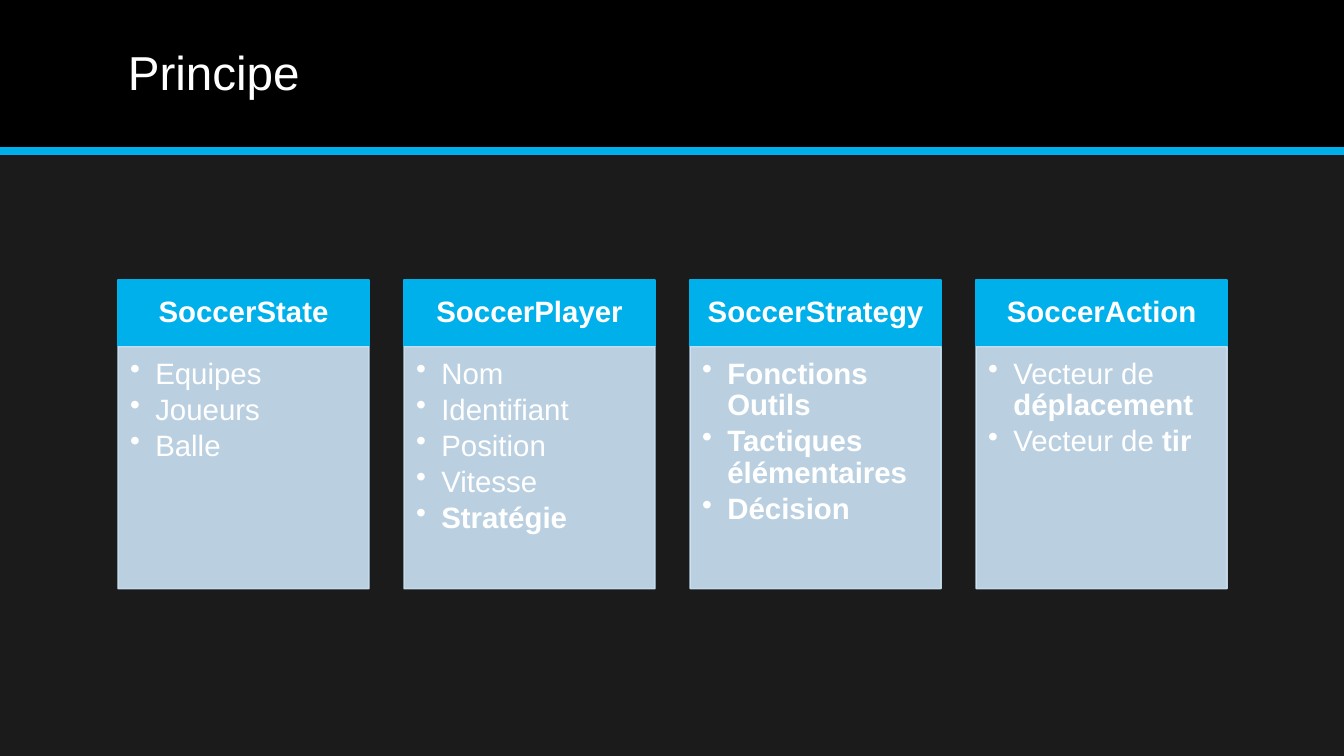
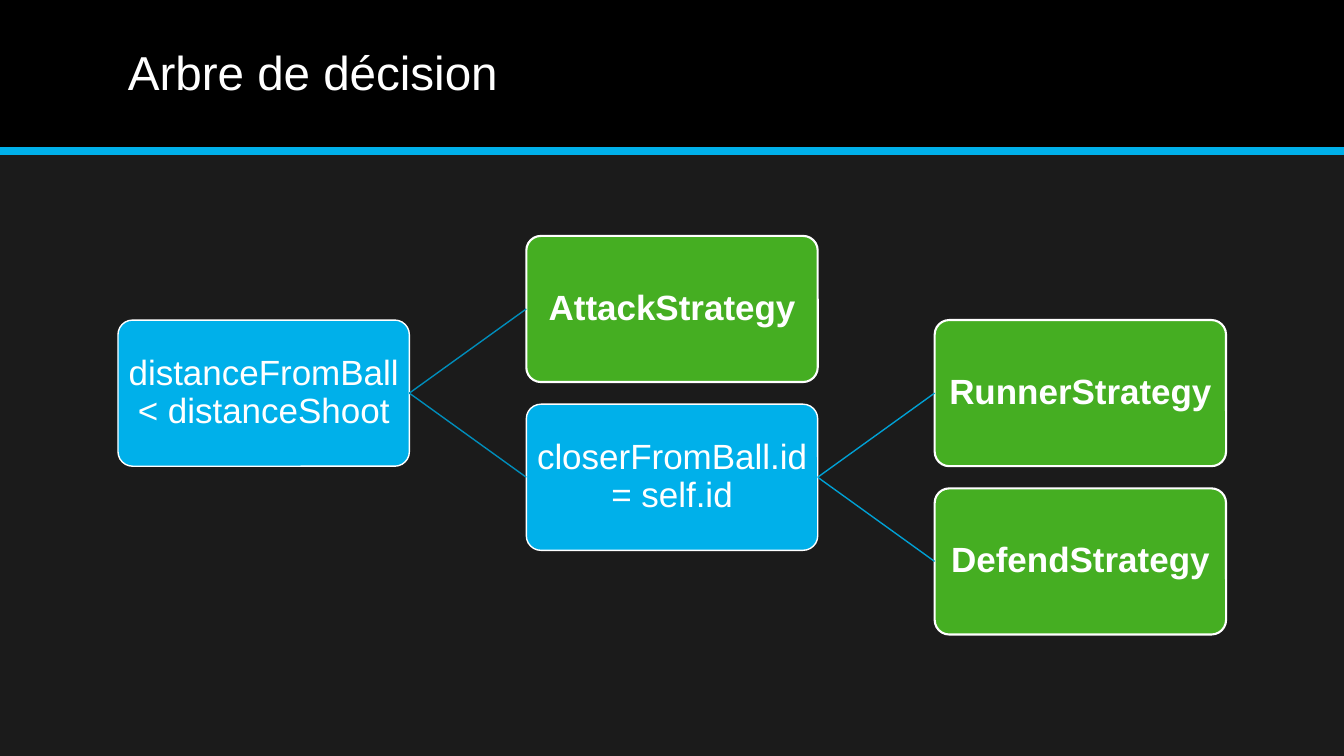
from lxml import etree
from pptx import Presentation
from pptx.dml.color import RGBColor
from pptx.enum.shapes import MSO_CONNECTOR, MSO_SHAPE
from pptx.enum.text import MSO_ANCHOR, PP_ALIGN
from pptx.oxml.ns import qn
from pptx.util import Inches, Pt

# Content: a text is a list of paragraphs, a paragraph a list of (text, bold) runs
CARDS = [
    ("SoccerState", [[("Equipes", False)], [("Joueurs", False)], [("Balle", False)]]),
    ("SoccerPlayer", [[("Nom", False)], [("Identifiant", False)], [("Position", False)],
                      [("Vitesse", False)], [("Stratégie", True)]]),
    ("SoccerStrategy", [[("Fonctions Outils", True)], [("Tactiques élémentaires", True)],
                        [("Décision", True)]]),
    ("SoccerAction", [[("Vecteur de ", False), ("déplacement", True)],
                      [("Vecteur de ", False), ("tir", True)]]),
]
# Decision tree: (label, children); a node without children is a strategy
TREE = ("distanceFromBall < distanceShoot", [
    ("AttackStrategy", []),
    ("closerFromBall.id = self.id", [("RunnerStrategy", []), ("DefendStrategy", [])]),
])

# Shared style
FONT = "Arial"
BACKGROUND, BAND, ACCENT, WHITE = "1B1B1B", "000000", "00B0EA", "FFFFFF"
CARD_BODY, STRATEGY = "CCE4F7", "45AE22"
BRANCH_COLORS = ["008DBB", "00A0D4"]
SLIDE_WIDTH, SLIDE_HEIGHT, BAND_HEIGHT, LEFT = 13.33, 7.5, 1.5, 1.17


def rgb(color):
    return RGBColor.from_string(color)


def write(shape, paragraphs, size, margins, align=PP_ALIGN.LEFT,
          anchor=MSO_ANCHOR.MIDDLE, space_after=0, bullets=False):
    frame = shape.text_frame
    sides = ("margin_left", "margin_top", "margin_right", "margin_bottom")
    settings = {"word_wrap": True, "vertical_anchor": anchor}
    settings.update(zip(sides, map(Inches, margins)))
    for name, value in settings.items():
        setattr(frame, name, value)
    for index, runs in enumerate(paragraphs):
        paragraph = frame.add_paragraph() if index else frame.paragraphs[0]
        layout = {"alignment": align, "line_spacing": 0.9, "space_after": Pt(space_after)}
        for name, value in layout.items():
            setattr(paragraph, name, value)
        if bullets:
            properties = paragraph._p.get_or_add_pPr()
            properties.set("marL", str(Inches(0.25)))
            properties.set("indent", str(-Inches(0.25)))
            etree.SubElement(properties, qn("a:buChar")).set("char", "•")
        for text, bold in runs:
            run = paragraph.add_run()
            run.text = text
            for name, value in {"name": FONT, "size": Pt(size), "bold": bold}.items():
                setattr(run.font, name, value)
            run.font.color.rgb = rgb(WHITE)


def add_box(slide, kind, position, fill, line=None, line_width=1, opacity=100):
    shape = slide.shapes.add_shape(kind, *map(Inches, position))
    shape.shadow.inherit = False
    shape.fill.solid()
    shape.fill.fore_color.rgb = rgb(fill)
    if line:
        shape.line.color.rgb = rgb(line)
        shape.line.width = Pt(line_width)
    else:
        shape.line.fill.background()
    if opacity < 100:
        for color in shape._element.spPr.iter(qn("a:srgbClr")):
            etree.SubElement(color, qn("a:alpha")).set("val", str(opacity * 1000))
    return shape


def add_line(slide, start, end, color, width):
    line = slide.shapes.add_connector(MSO_CONNECTOR.STRAIGHT, *map(Inches, start + end))
    line.line.color.rgb = rgb(color)
    line.line.width = Pt(width)
    etree.SubElement(line._element.spPr, qn("a:effectLst"))
    return line


def add_titled_slide(presentation, title):
    slide = presentation.slides.add_slide(presentation.slide_layouts[6])
    slide.background.fill.solid()
    slide.background.fill.fore_color.rgb = rgb(BACKGROUND)
    add_box(slide, MSO_SHAPE.RECTANGLE, (0, 0, SLIDE_WIDTH, BAND_HEIGHT), BAND)
    add_line(slide, (0, BAND_HEIGHT), (SLIDE_WIDTH, BAND_HEIGHT), ACCENT, 6)
    box = slide.shapes.add_textbox(*map(Inches, (LEFT, 0.14, 11, 1.2)))
    write(box, [[(title, False)]], 34, (0.1, 0.05, 0.1, 0.05))
    return slide


# Cards: a header above a bulleted body
def add_cards(slide):
    top, width, header_height, body_height, pitch = 2.78, 2.49, 0.66, 2.4, 2.837
    for column, (name, items) in enumerate(CARDS):
        left = LEFT + column * pitch
        header = add_box(slide, MSO_SHAPE.RECTANGLE, (left, top, width, header_height),
                         ACCENT, ACCENT)
        write(header, [[(name, True)]], 21, (0.16, 0.09, 0.16, 0.09), PP_ALIGN.CENTER)
        body = add_box(slide, MSO_SHAPE.RECTANGLE,
                       (left, top + header_height, width, body_height),
                       CARD_BODY, CARD_BODY, opacity=90)
        write(body, items, 21, (0.12, 0.12, 0.16, 0.18), anchor=MSO_ANCHOR.TOP,
              space_after=3, bullets=True)


# Tree: children sit one column right, half a row above and below their parent
def add_node(slide, node, column=0, middle=3.9):
    width, height, column_pitch, row_pitch = 2.89, 1.45, 4.05, 1.67
    label, children = node
    is_strategy = not children
    box = add_box(slide, MSO_SHAPE.ROUNDED_RECTANGLE,
                  (LEFT + column * column_pitch, middle - height / 2, width, height),
                  STRATEGY if is_strategy else ACCENT, WHITE, 1.5 if is_strategy else 1)
    box.adjustments[0] = 0.1
    write(box, [[(label, is_strategy)]], 25, (0.02,) * 4, PP_ALIGN.CENTER)
    for index, child in enumerate(children):
        offset = (index - (len(children) - 1) / 2) * row_pitch
        child_box = add_node(slide, child, column + 1, middle + offset)
        branch = add_line(slide, (0, 0), (1, 1), BRANCH_COLORS[column], 1)
        branch.begin_connect(box, 3)
        branch.end_connect(child_box, 1)
    return box


def main():
    presentation = Presentation()
    presentation.slide_width = Inches(SLIDE_WIDTH)
    presentation.slide_height = Inches(SLIDE_HEIGHT)
    add_cards(add_titled_slide(presentation, "Principe"))
    add_node(add_titled_slide(presentation, "Arbre de décision"), TREE)
    presentation.save("out.pptx")


if __name__ == "__main__":
    main()
